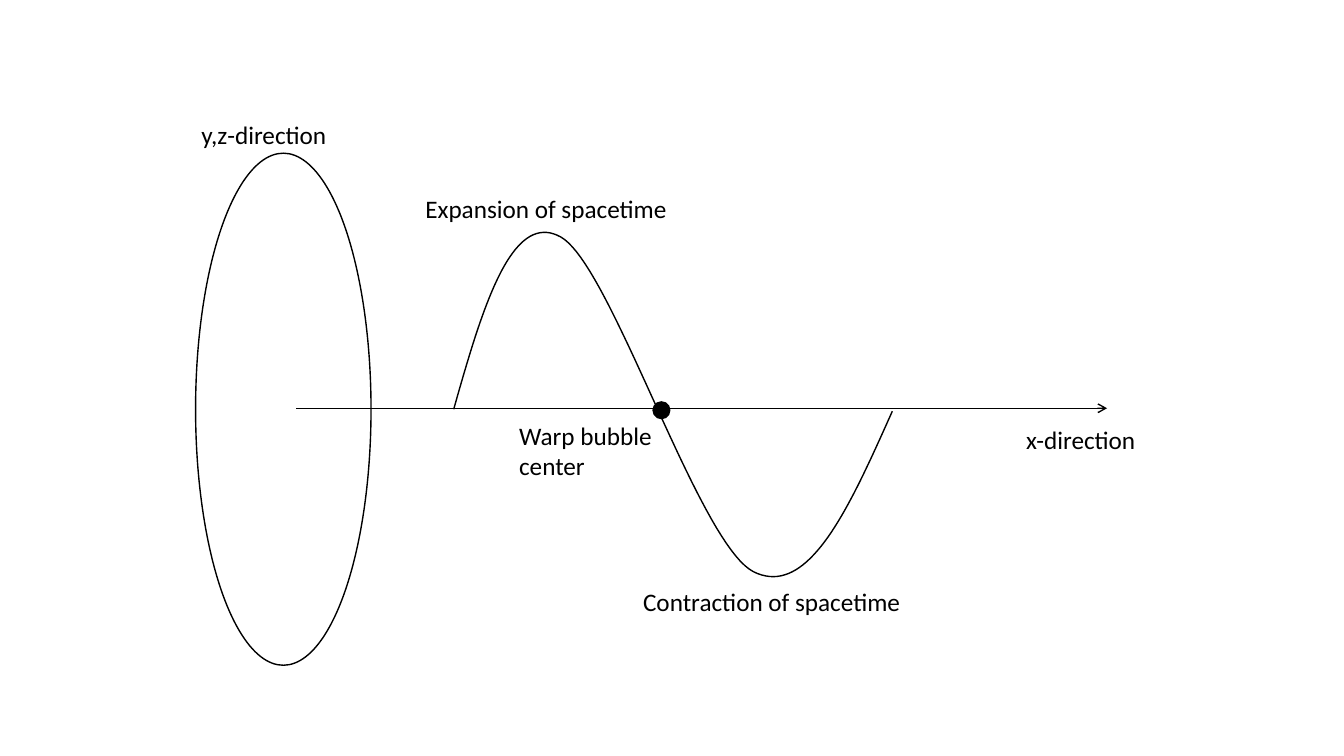
from lxml import etree
from pptx import Presentation
from pptx import util as u
from pptx.dml.color import RGBColor
from pptx.enum import shapes, text
from pptx.oxml.ns import qn

INK = "000000"
LABELS = [
    ("x-direction", 10.08, 4.16, 1.31, 0.4),
    ("y,z-direction", 1.9, 1.13, 2.12, 0.4),
    ("Expansion of spacetime", 4.12, 1.87, 2.77, 0.4),
    ("Contraction of spacetime", 6.28, 5.77, 2.77, 0.4),
    ("Warp bubble\ncenter", 5.05, 4.12, 1.62, 0.71),
]
WAVE_START = (4.5, 4.06)
WAVE_CURVES = [
    ((4.78, 3.07), (5.07, 2.08), (5.56, 2.35)),
    ((6.06, 2.62), (6.92, 5.38), (7.47, 5.67)),
    ((8.02, 5.95), (8.43, 5.02), (8.85, 4.08)),
]
STEPS = 40


def color(value):
    """Return the colour for a hex string."""
    return RGBColor.from_string(value)


def apply(target, values):
    """Set each named attribute on the target."""
    for name, value in values.items():
        setattr(target, name, value)


def draw_line(line):
    """Give a line the ink colour and one point width."""
    line.color.rgb = color(INK)
    line.width = u.Pt(1)


def add_ellipse(page, left, top, width, height, filled=False):
    """Add an ellipse that is either solid or outlined."""
    ellipse = page.shapes.add_shape(
        shapes.MSO_SHAPE.OVAL, *map(u.Inches, (left, top, width, height)))
    ellipse.shadow.inherit = False
    if filled:
        ellipse.fill.solid()
        ellipse.fill.fore_color.rgb = color(INK)
        ellipse.line.fill.background()
    else:
        ellipse.fill.background()
        draw_line(ellipse.line)


def add_axis(page, left, right, height):
    """Add a horizontal axis with an open arrowhead."""
    axis = page.shapes.add_connector(
        shapes.MSO_CONNECTOR.STRAIGHT,
        *map(u.Inches, (left, height, right, height)))
    draw_line(axis.line)
    etree.SubElement(axis.line._get_or_add_ln(), qn("a:tailEnd"), type="arrow")
    etree.SubElement(axis._element.spPr, qn("a:effectLst"))


def curve_point(corners, share):
    """Return the point at a share of the way along a cubic curve."""
    rest = 1 - share
    weights = (rest ** 3, 3 * rest ** 2 * share, 3 * rest * share ** 2, share ** 3)
    return tuple(
        u.Inches(sum(weight * place for weight, place in zip(weights, places)))
        for places in zip(*corners))


def add_wave(page, start, curves):
    """Add an open wave that runs through cubic curves."""
    builder = page.shapes.build_freeform(*map(u.Inches, start))
    for curve in curves:
        corners = (start, *curve)
        points = [curve_point(corners, step / STEPS) for step in range(1, STEPS + 1)]
        builder.add_line_segments(points, close=False)
        start = curve[-1]
    wave = builder.convert_to_shape()
    wave.shadow.inherit = False
    wave.fill.background()
    draw_line(wave.line)


def add_label(page, words, left, top, width, height):
    """Add a text label with one paragraph per line."""
    box = page.shapes.add_textbox(*map(u.Inches, (left, top, width, height)))
    frame = box.text_frame
    apply(frame, {"word_wrap": True, "auto_size": text.MSO_AUTO_SIZE.SHAPE_TO_FIT_TEXT})
    frame.text = words
    for para in frame.paragraphs:
        for span in para.runs:
            apply(span.font, {"name": "Calibri", "size": u.Pt(18)})
            span.font.color.rgb = color(INK)


def main():
    """Build the warp bubble slide."""
    deck = Presentation()
    apply(deck, {"slide_width": u.Inches(13.33), "slide_height": u.Inches(7.5)})
    page = deck.slides.add_slide(deck.slide_layouts[6])
    add_ellipse(page, 1.94, 1.52, 1.74, 5.08)
    add_axis(page, 2.94, 10.98, 4.05)
    add_ellipse(page, 6.47, 3.98, 0.18, 0.18, filled=True)
    add_wave(page, WAVE_START, WAVE_CURVES)
    for label in LABELS:
        add_label(page, *label)
    deck.save("out.pptx")


if __name__ == "__main__":
    main()
